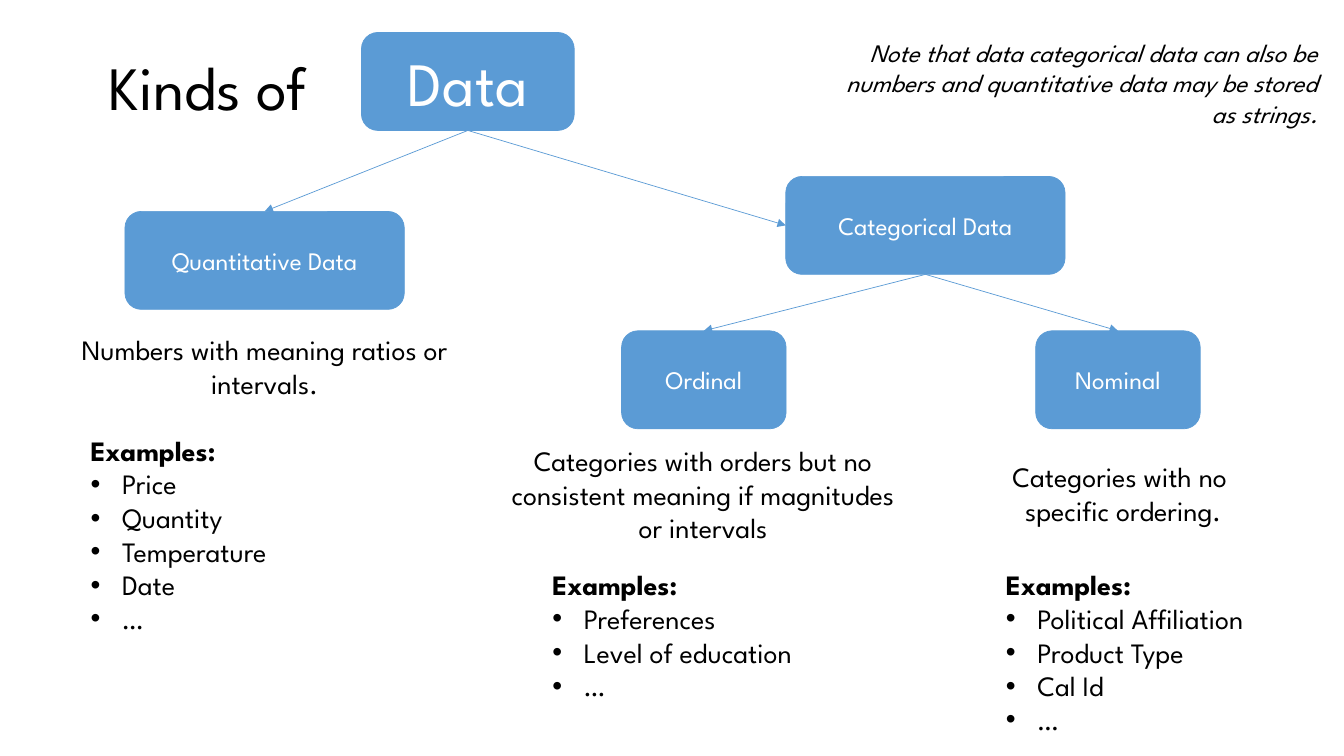
from dataclasses import dataclass

from lxml import etree
from pptx import Presentation
from pptx.dml.color import RGBColor
from pptx.enum.shapes import MSO_CONNECTOR, MSO_SHAPE
from pptx.enum.text import MSO_ANCHOR, MSO_AUTO_SIZE, PP_ALIGN
from pptx.oxml.ns import qn
from pptx.util import Pt

ROUNDED = MSO_SHAPE.ROUNDED_RECTANGLE
STRAIGHT = MSO_CONNECTOR.STRAIGHT
MIDDLE = MSO_ANCHOR.MIDDLE
GROW = MSO_AUTO_SIZE.SHAPE_TO_FIT_TEXT
LEFT, CENTER, RIGHT = PP_ALIGN.LEFT, PP_ALIGN.CENTER, PP_ALIGN.RIGHT
TOP_SIDE, LEFT_SIDE, BOTTOM_SIDE = 0, 1, 2
TITLE_ONLY = 5


@dataclass(frozen=True)
class Theme:
    """Colours, font and type sizes in points."""
    font: str = "League Spartan"
    ink: RGBColor = RGBColor(0, 0, 0)
    node: RGBColor = RGBColor(0x5B, 0x9B, 0xD5)
    node_ink: RGBColor = RGBColor(0xFF, 0xFF, 0xFF)
    heading: int = 44
    body: int = 20
    label: int = 18
    line: float = 0.5
    indent: float = 22.5


THEME = Theme()
NODE_HEIGHT = 70


def style(paragraph, size, color=THEME.ink, align=LEFT, bold=False, italic=False):
    """Set the alignment and font of a paragraph."""
    paragraph.alignment = align
    font = paragraph.font
    font.name, font.size = THEME.font, Pt(size)
    font.bold, font.italic = bold, italic
    font.color.rgb = color


def add_bullet(paragraph):
    """Give a paragraph a hanging bullet."""
    properties = paragraph._p.get_or_add_pPr()
    properties.set("marL", str(Pt(THEME.indent)))
    properties.set("indent", str(-Pt(THEME.indent)))
    etree.SubElement(properties, qn("a:buFont")).set("typeface", "Arial")
    etree.SubElement(properties, qn("a:buChar")).set("char", "•")


def set_title(slide, text):
    """Place and format the slide title."""
    title = slide.shapes.title
    title.left, title.top, title.width, title.height = Pt(70.5), Pt(12.2), Pt(299), Pt(104.4)
    frame = title.text_frame
    frame.text = text
    frame.vertical_anchor = MIDDLE
    frame.paragraphs[0].line_spacing = 0.9
    style(frame.paragraphs[0], THEME.heading)


def add_node(slide, text, left, top, width, size=THEME.label):
    """Add one rounded box of the tree."""
    node = slide.shapes.add_shape(ROUNDED, Pt(left), Pt(top), Pt(width), Pt(NODE_HEIGHT))
    node.shadow.inherit = False
    node.fill.solid()
    node.fill.fore_color.rgb = THEME.node
    node.line.color.rgb = THEME.node
    node.line.width = Pt(THEME.line)
    frame = node.text_frame
    frame.text = text
    frame.vertical_anchor = MIDDLE
    style(frame.paragraphs[0], size, THEME.node_ink, CENTER)
    return node


def add_branch(slide, parent, child, side=TOP_SIDE):
    """Join the foot of a parent to a side of its child with an arrow."""
    branch = slide.shapes.add_connector(STRAIGHT, 0, 0, 0, 0)
    branch.begin_connect(parent, BOTTOM_SIDE)
    branch.end_connect(child, side)
    branch.line.color.rgb = THEME.node
    branch.line.width = Pt(THEME.line)
    etree.SubElement(branch.line._get_or_add_ln(), qn("a:tailEnd")).set("type", "triangle")
    etree.SubElement(branch._element.spPr, qn("a:effectLst"))


def add_frame(slide, left, top, width, height, wrap=True):
    """Add a text box that grows with its text."""
    frame = slide.shapes.add_textbox(Pt(left), Pt(top), Pt(width), Pt(height)).text_frame
    frame.word_wrap = wrap
    frame.auto_size = GROW
    return frame


def add_text(slide, text, left, top, width, height, **look):
    """Add text whose paragraphs share one look."""
    frame = add_frame(slide, left, top, width, height)
    frame.text = text
    for paragraph in frame.paragraphs:
        style(paragraph, **look)


def add_examples(slide, examples, left, top, width, height):
    """Add a bold heading with a bulleted list of examples."""
    frame = add_frame(slide, left, top, width, height, wrap=False)
    frame.text = "\n".join(["Examples:", *examples, "…"])
    heading, *items = frame.paragraphs
    style(heading, THEME.body, bold=True)
    for item in items:
        add_bullet(item)
        style(item, THEME.body)


def main():
    """Build the slide and save it."""
    deck = Presentation()
    deck.slide_width, deck.slide_height = Pt(960), Pt(540)
    slide = deck.slides.add_slide(deck.slide_layouts[TITLE_ONLY])
    set_title(slide, "Kinds of")

    data = add_node(slide, "Data", 258.2, 23.2, 152, THEME.heading)
    quantitative = add_node(slide, "Quantitative Data", 89.3, 151, 199.5)
    categorical = add_node(slide, "Categorical Data", 561.3, 126, 199.5)
    ordinal = add_node(slide, "Ordinal", 444, 236.3, 117.5)
    nominal = add_node(slide, "Nominal", 739.8, 236.3, 117.5)

    add_branch(slide, data, quantitative)
    add_branch(slide, data, categorical, LEFT_SIDE)
    for kind in (ordinal, nominal):
        add_branch(slide, categorical, kind)

    meanings = (
        ("Numbers with meaning ratios or intervals.", 36, 234, 55.7),
        ("Categories with orders but no consistent meaning if magnitudes or intervals",
         349.2, 313.4, 80),
        ("Categories with no \nspecific ordering.", 649.4, 324.7, 55.7),
    )
    for text, left, top, height in meanings:
        add_text(slide, text, left, top, 306, height, size=THEME.body, align=CENTER)

    add_examples(slide, ("Price", "Quantity", "Temperature", "Date"), 57.6, 306, 162.7, 152.6)
    add_examples(slide, ("Preferences", "Level of education"), 387.4, 402, 221.8, 104.4)
    add_examples(slide, ("Political Affiliation", "Product Type", "Cal Id"),
                 711.4, 402, 213.8, 152.6)

    add_text(slide, "Note that data categorical data can also be numbers and "
             "quantitative data may be stored as strings.",
             589, 23.2, 359.3, 72.7, size=THEME.label, align=RIGHT, italic=True)

    deck.save("out.pptx")


if __name__ == "__main__":
    main()
